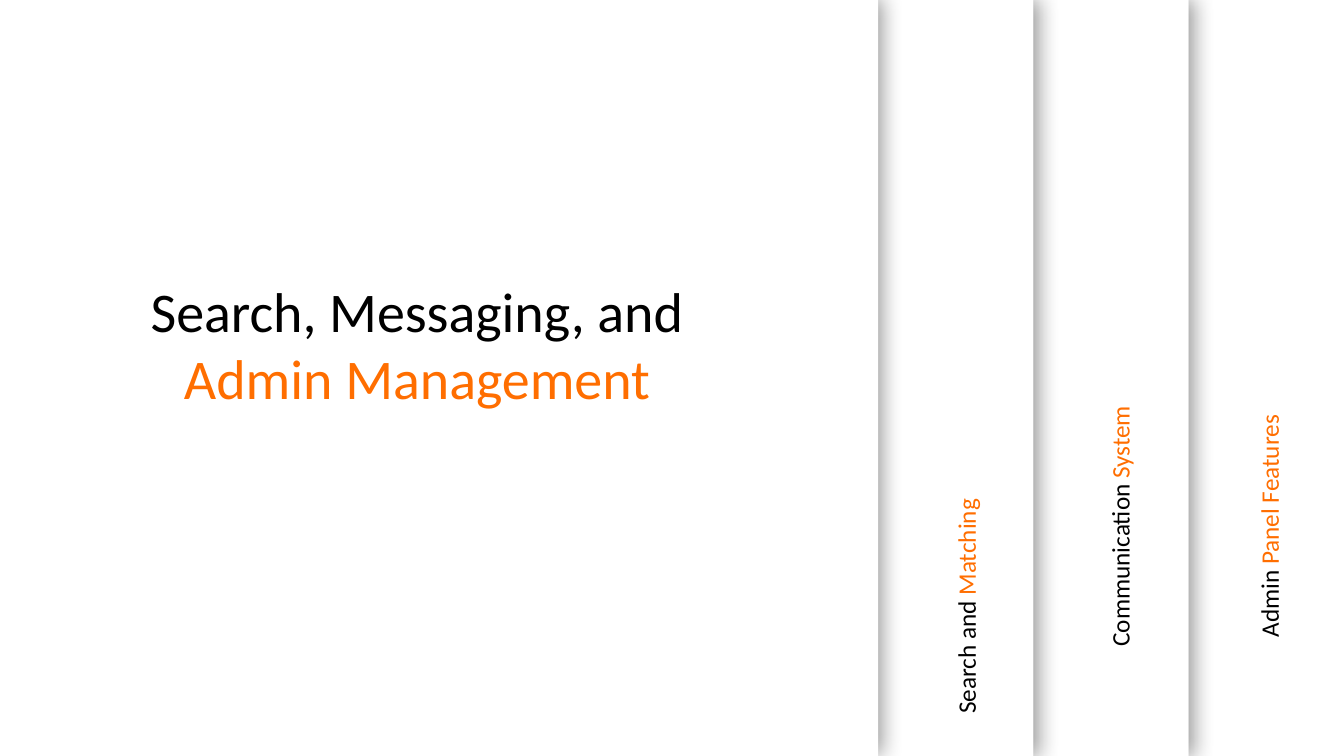
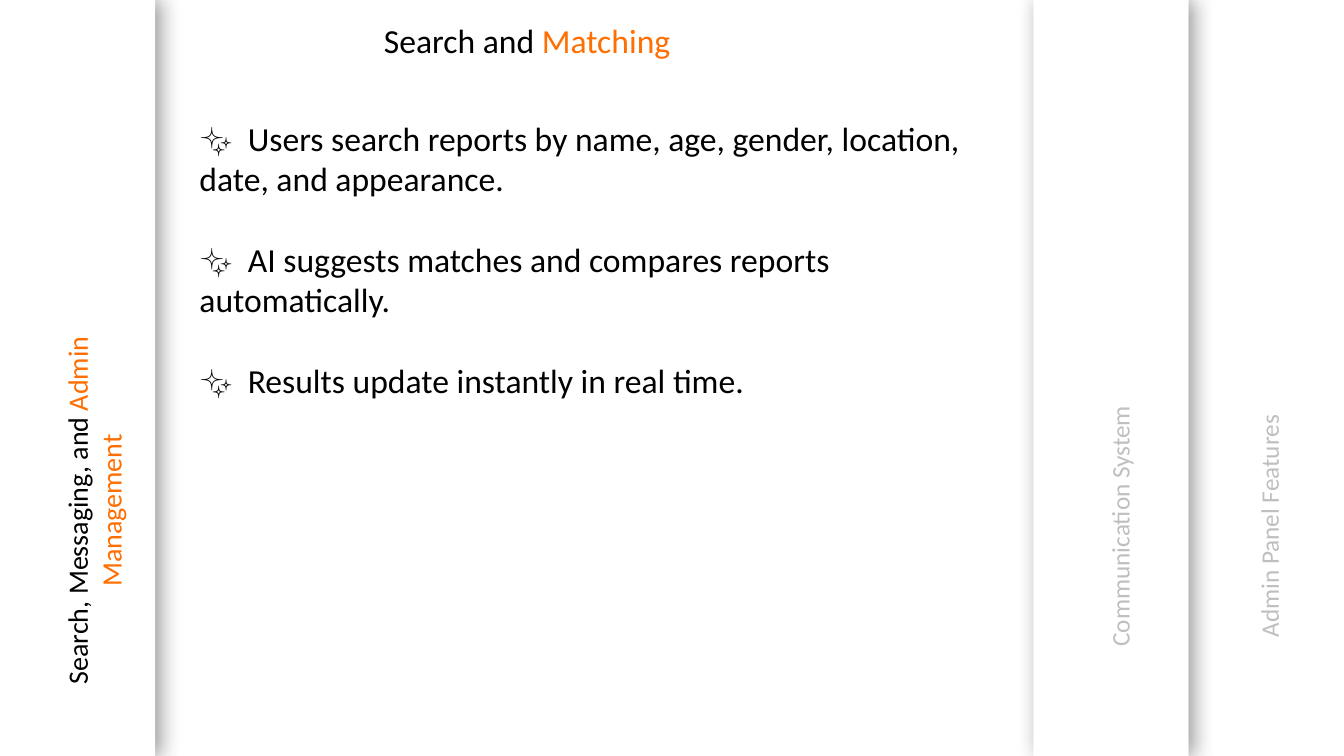
from lxml import etree
from pptx import Presentation
from pptx import util as u
from pptx.dml.color import RGBColor
from pptx.enum import shapes, text
from pptx.oxml import ns

COLOURS = {"paper": "FFFFFF", "ink": "000000", "accent": "FF6E00", "muted": "BFBFBF"}
FONT = "Calibri"
PAGE_WIDTH, PAGE_HEIGHT = 13.33, 7.5
STRIP_WIDTH = 1.54
STRIP_LEFTS = [8.71 + STRIP_WIDTH * index for index in range(3)]
CENTER, LEFT = text.PP_ALIGN.CENTER, text.PP_ALIGN.LEFT

TOPIC = ("Search, Messaging, and ", "Admin Management")
MATCHING = ("Search and ", "Matching")
COMMUNICATION = ("Communication ", "System")
ADMIN = ("Admin ", "Panel Features")
MATCHING_POINTS = [
    "Users search reports by name, age, gender, location, date, and appearance.",
    "AI suggests matches and compares reports automatically.",
    "Results update instantly in real time.",
]


class Deck:
    def __init__(self):
        self.deck = Presentation()
        self.deck.slide_width = u.Inches(PAGE_WIDTH)
        self.deck.slide_height = u.Inches(PAGE_HEIGHT)
        self.page = None

    def add_page(self):
        self.page = self.deck.slides.add_slide(self.deck.slide_layouts[6])

    def panel(self, left, width):
        panel = self.page.shapes.add_shape(
            shapes.MSO_SHAPE.RECTANGLE,
            u.Inches(left), 0, u.Inches(width), u.Inches(PAGE_HEIGHT))
        panel.fill.solid()
        panel.fill.fore_color.rgb = RGBColor.from_string(COLOURS["paper"])
        panel.line.fill.background()
        panel.shadow.inherit = False
        effects = panel._element.spPr.find(ns.qn("a:effectLst"))
        shadow = etree.SubElement(
            effects, ns.qn("a:outerShdw"), blurRad=str(u.Pt(15)),
            dist=str(u.Pt(3)), dir="0", algn="l", rotWithShape="0")
        colour = etree.SubElement(shadow, ns.qn("a:srgbClr"), val=COLOURS["ink"])
        etree.SubElement(colour, ns.qn("a:alpha"), val="40000")

    def text_box(self, left, top, width, height, rotation=0):
        box = self.page.shapes.add_textbox(*map(u.Inches, (left, top, width, height)))
        box.rotation = rotation
        box.text_frame.word_wrap = True
        box.text_frame.auto_size = text.MSO_AUTO_SIZE.SHAPE_TO_FIT_TEXT
        return box.text_frame

    def span(self, para, words, size, colour):
        span = para.add_run()
        span.text = words
        span.font.name = FONT
        span.font.size = u.Pt(size)
        span.font.color.rgb = RGBColor.from_string(COLOURS[colour])

    def heading(self, place, words, size, align=CENTER, rotation=0):
        para = self.text_box(*place, rotation).paragraphs[0]
        para.alignment = align
        for part, colour in zip(words, ("ink", "accent")):
            self.span(para, part, size, colour)

    def strip_label(self, left, words, muted=False):
        place = (left, 5.02, 3.91, 0.4)
        if muted:
            para = self.text_box(*place, 270).paragraphs[0]
            para.alignment = CENTER
            self.span(para, "".join(words), 18, "muted")
        else:
            self.heading(place, words, 18, rotation=270)

    def later_labels(self, muted=False):
        self.strip_label(9.15, COMMUNICATION, muted)
        self.strip_label(10.63, ADMIN, muted)

    def points(self, place, lines, size):
        frame = self.text_box(*place)
        for index, line in enumerate(lines):
            para = frame.paragraphs[0] if index == 0 else frame.add_paragraph()
            if index:
                para.space_before = u.Pt(29)
            stops = etree.SubElement(para._p.get_or_add_pPr(), ns.qn("a:tabLst"))
            etree.SubElement(stops, ns.qn("a:tab"), pos=str(u.Inches(0.48)), algn="l")
            self.span(para, "✨\t" + line, size, "ink")

    def save(self):
        self.deck.save("out.pptx")


def build_overview(deck):
    deck.add_page()
    for left in reversed(STRIP_LEFTS):
        deck.panel(left, STRIP_WIDTH)
    deck.panel(0, STRIP_LEFTS[0])
    deck.heading((0.79, 2.69, 6.69, 1.45), TOPIC, 40)
    deck.heading((7.61, 5.01, 3.94, 0.4), MATCHING, 18, LEFT, 270)
    deck.later_labels()


def build_matching(deck):
    deck.add_page()
    for left in (STRIP_LEFTS[2], STRIP_LEFTS[1], 0):
        deck.panel(left, STRIP_WIDTH)
    deck.heading((-1.01, 4.51, 4.22, 1.11), TOPIC, 20, rotation=270)
    deck.later_labels(muted=True)
    deck.heading((3.71, 0.15, 3.94, 0.5), MATCHING, 24, LEFT)
    deck.points((1.88, 1.12, 8.01, 2.93), MATCHING_POINTS, 24)


def main():
    deck = Deck()
    build_overview(deck)
    build_matching(deck)
    deck.save()


if __name__ == "__main__":
    main()
